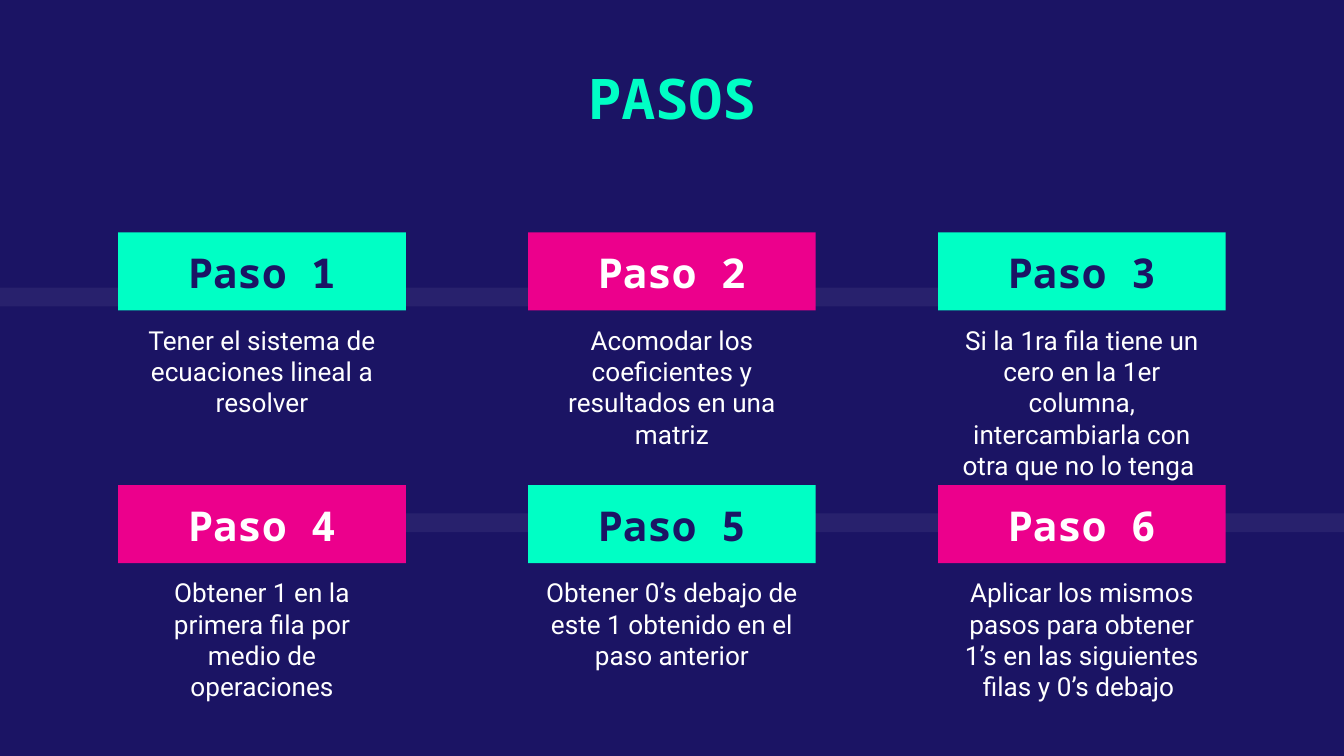
from pptx import Presentation
from pptx.dml.color import RGBColor
from pptx.enum.shapes import MSO_SHAPE
from pptx.enum.text import MSO_ANCHOR, PP_ALIGN
from pptx.oxml.ns import qn
from pptx.util import Inches, Pt
from lxml import etree

RECT = MSO_SHAPE.RECTANGLE
TOP, BOTTOM = MSO_ANCHOR.TOP, MSO_ANCHOR.BOTTOM
CENTER = PP_ALIGN.CENTER

# Palette and fonts
NAVY, MINT, PINK, WHITE = "1B1464", "00FFC5", "EC008C", "FFFFFF"
MONO, SANS = "Noto Sans Mono", "Roboto"

# Grid: three columns, two rows, on a 16:9 slide
WIDE = 10
HIGH = WIDE * 9 / 16
COLS = 3
HEAD_W, HEAD_H = 2.14, 0.58
LEFT = 0.88
STEP_X = (WIDE - 2 * LEFT - HEAD_W) / (COLS - 1)
HEAD_TOP, STEP_Y = 1.73, 1.88
NOTE_W, INSET = 2.07, 0.1

# Each step: note text and height of its box
STEPS = [
    ("Tener el sistema de ecuaciones lineal a resolver", 0.81),
    ("Acomodar los coeficientes y resultados en una matriz", 1.01),
    ("Si la 1ra fila tiene un cero en la 1er columna, "
     "intercambiarla con otra que no lo tenga ", 1.01),
    ("Obtener 1 en la primera fila por medio de operaciones", 0.73),
    ("Obtener 0’s debajo de este 1 obtenido en el paso anterior", 0.83),
    ("Aplicar los mismos pasos para obtener 1’s en las siguientes "
     "filas y 0’s debajo ", 1.07),
]


def color(code):
    return RGBColor.from_string(code)


def inches(box):
    return [Inches(v) for v in box]


def write(shape, text, size, font, code, bold=False, anchor=TOP):
    frame = shape.text_frame
    margin = Inches(INSET)
    look = {"word_wrap": True, "vertical_anchor": anchor,
            "margin_left": margin, "margin_right": margin,
            "margin_top": margin, "margin_bottom": margin}
    for name, value in look.items():
        setattr(frame, name, value)
    para = frame.paragraphs[0]
    para.alignment = CENTER
    run = para.add_run()
    run.text = text
    for name, value in {"size": Pt(size), "name": font, "bold": bold}.items():
        setattr(run.font, name, value)
    run.font.color.rgb = color(code)


def add_rect(slide, box, code, alpha=None):
    shape = slide.shapes.add_shape(RECT, *inches(box))
    shape.shadow.inherit = False
    shape.fill.solid()
    shape.fill.fore_color.rgb = color(code)
    shape.line.fill.background()
    if alpha is not None:
        tone = shape.element.spPr.find(".//" + qn("a:srgbClr"))
        etree.SubElement(tone, qn("a:alpha")).set("val", str(alpha * 1000))
    return shape


def add_label(slide, box, *args, **look):
    write(slide.shapes.add_textbox(*inches(box)), *args, **look)


def add_step(slide, index, note, height):
    row, col = divmod(index, COLS)
    x, y = LEFT + col * STEP_X, HEAD_TOP + row * STEP_Y
    fill, ink = (PINK, WHITE) if index % 2 else (MINT, NAVY)
    add_label(slide, (x + (HEAD_W - NOTE_W) / 2, y + HEAD_H, NOTE_W, height),
              note, 14, SANS, WHITE)
    head = add_rect(slide, (x, y, HEAD_W, HEAD_H), fill)
    write(head, f"Paso {index + 1}", 22, MONO, ink, bold=True, anchor=BOTTOM)


def main():
    deck = Presentation()
    deck.slide_width, deck.slide_height = Inches(WIDE), Inches(HIGH)
    slide = deck.slides.add_slide(deck.slide_layouts[6])
    slide.background.fill.solid()
    slide.background.fill.fore_color.rgb = color(NAVY)

    # Faint bands behind the rows
    for box in ((0, 2.14, 8.52, 0.14), (1.02, 3.82, 8.98, 0.14)):
        add_rect(slide, box, WHITE, alpha=6)

    # Title
    add_label(slide, (1.4, 0.37, 7.2, 0.73), "PASOS", 30, MONO, MINT, bold=True)

    # Steps
    for index, (note, height) in enumerate(STEPS):
        add_step(slide, index, note, height)

    deck.save("out.pptx")


if __name__ == "__main__":
    main()
